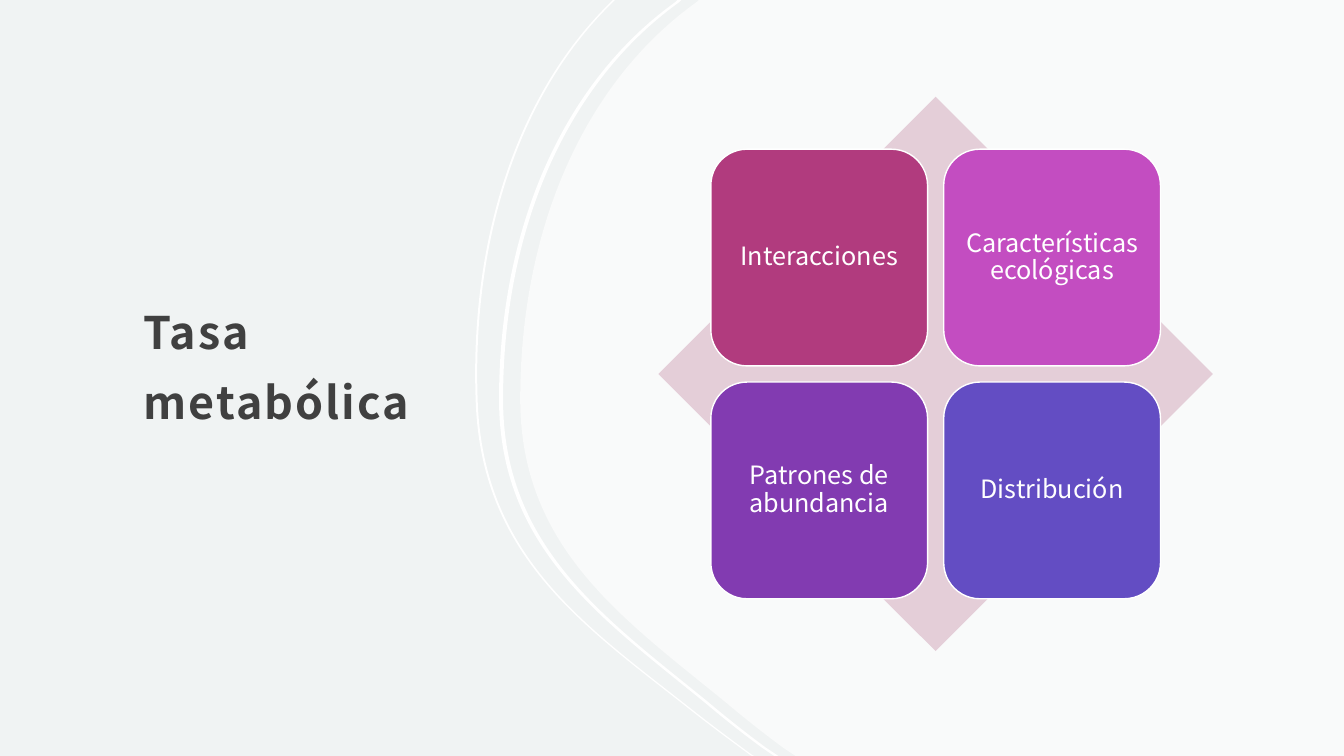
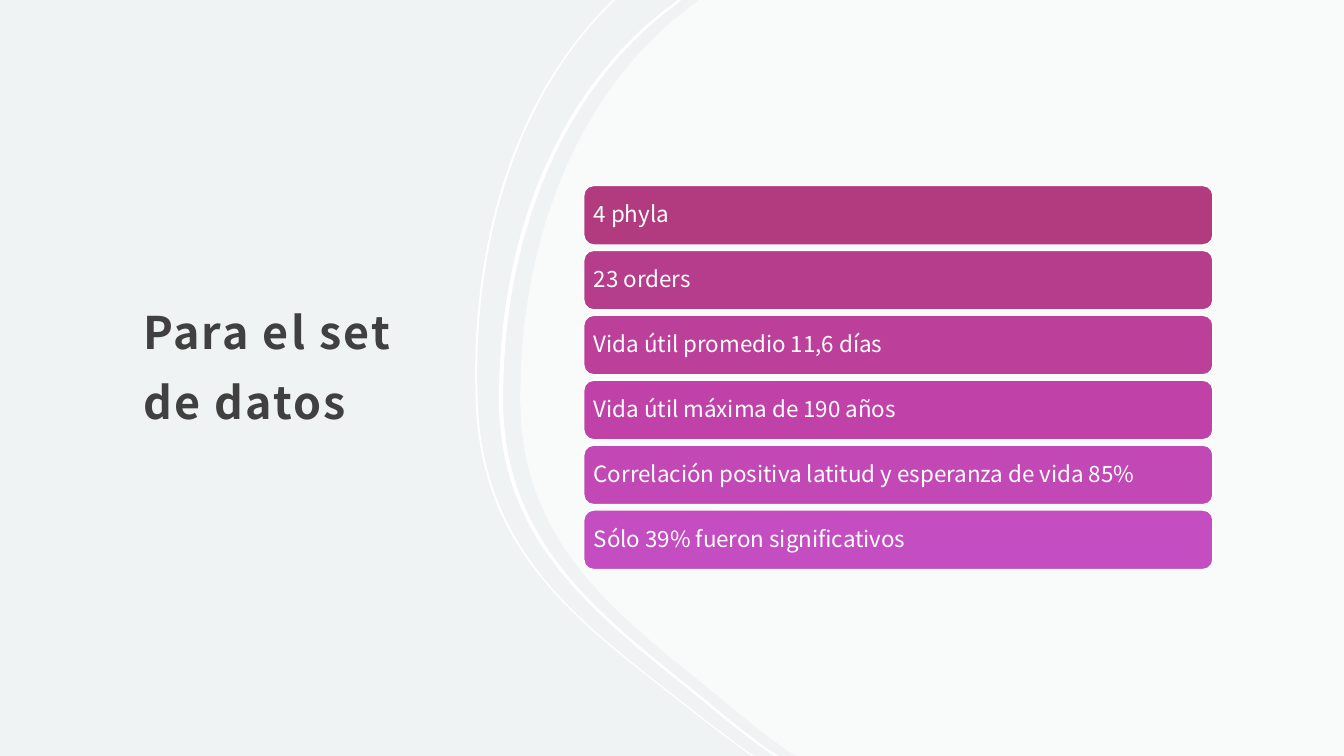
"""Builds two Spanish slides on metabolic rate and its data set."""
from lxml.etree import SubElement
from pptx import Presentation
from pptx.dml.color import RGBColor
from pptx.enum.shapes import MSO_SHAPE as Preset
from pptx.enum.text import MSO_ANCHOR as Anchor, MSO_AUTO_SIZE as AutoSize, PP_ALIGN as Align
from pptx.oxml.ns import qn
from pptx.util import Pt

PX = 9144
SLIDE_W, SLIDE_H = 1333, 750
FONT = "Noto Sans CJK JP"

WHITE = RGBColor(0xFF, 0xFF, 0xFF)
BACKDROP = RGBColor(0xF0, 0xF3, 0xF3)
TITLE_GREY = RGBColor(0x40, 0x40, 0x40)
PALE_PINK = RGBColor(0xE4, 0xCE, 0xD8)
RASPBERRY = RGBColor(0xB1, 0x3B, 0x7E)
BERRY = RGBColor(0xB6, 0x3D, 0x8C)
MAGENTA = RGBColor(0xBC, 0x3F, 0x9A)
FUCHSIA = RGBColor(0xC0, 0x42, 0xA9)
ORCHID = RGBColor(0xC1, 0x48, 0xB5)
PINK = RGBColor(0xC3, 0x4D, 0xC1)
PURPLE = RGBColor(0x82, 0x3B, 0xB1)
INDIGO = RGBColor(0x63, 0x4D, 0xC3)

RATE_TITLE = "Tasa metabólica"
RATE_FACTORS = [
    ("Interacciones", RASPBERRY),
    ("Características ecológicas", PINK),
    ("Patrones de abundancia", PURPLE),
    ("Distribución", INDIGO),
]
DATA_TITLE = "Para el set de datos"
DATA_FACTS = [
    ("4 phyla", RASPBERRY),
    ("23 orders", BERRY),
    ("Vida útil promedio 11,6 días", MAGENTA),
    ("Vida útil máxima de 190 años", FUCHSIA),
    ("Correlación positiva latitud y esperanza de vida 85%", ORCHID),
    ("Sólo 39% fueron significativos", PINK),
]

TITLE_BOX = (130, 121, 330, 468)
TITLE_INSETS = (12, 12, 12, 10)
DIAMOND_CENTRE = (928, 371)
DIAMOND_SIDE = 550
TILE_SIDE, TILE_PITCH = 215, 231
BAR_LEFT, BAR_TOP, BAR_W, BAR_H = 579, 184, 624, 59
LAST_BAR_TOP = 506

OUTER_EDGE = [
    [(608, 0)],
    [(605, 3)],
    [(512, 94), (465, 240), (472, 402)],
    [(479, 555), (582, 623), (687, 706)],
    [(706, 721), (725, 735), (744, 749)],
    [(746, 750)],
]
INNER_EDGE = [
    [(672, 0)],
    [(670, 2)],
    [(557, 83), (495, 229), (495, 396)],
    [(495, 543), (596, 613), (699, 697)],
    [(718, 713), (737, 728), (756, 742)],
    [(768, 750)],
]
OUTER_THICKNESS, INNER_THICKNESS = 2, 4
PANEL_SHIFT = 21
PANEL_ALPHA = 60


def emu(*lengths):
    return [round(length * PX) for length in lengths]


def shifted(edge, dx):
    return [[(x + dx, y) for x, y in segment] for segment in edge]


def backwards(edge):
    segments = [[edge[-1][-1]]]
    for previous, segment in zip(edge[-2::-1], edge[:0:-1]):
        segments.append(segment[-2::-1] + [previous[-1]])
    return segments


def paint(shape, color, outlined=False):
    shape.shadow.inherit = False
    shape.fill.solid()
    shape.fill.fore_color.rgb = color
    if outlined:
        shape.line.color.rgb = WHITE
        shape.line.width = Pt(1)
    else:
        shape.line.fill.background()


def add_outline(slide, segments, color):
    ends = [emu(*segment[-1]) for segment in segments]
    builder = slide.shapes.build_freeform(*ends[0], scale=1.0)
    builder.add_line_segments(ends[1:], close=True)
    outline = builder.convert_to_shape()
    straight_lines = list(outline._element.spPr.iter(qn("a:lnTo")))
    for line, segment in zip(straight_lines, segments[1:]):
        if len(segment) == 3:
            curve = line.makeelement(qn("a:cubicBezTo"))
            for point in segment:
                x, y = emu(*point)
                SubElement(curve, qn("a:pt"), x=str(x - outline.left), y=str(y - outline.top))
            line.getparent().replace(line, curve)
    paint(outline, color)
    return outline


def add_waves(slide):
    right_side = [[(SLIDE_W, SLIDE_H)], [(SLIDE_W, 0)]]
    panel = add_outline(slide, shifted(INNER_EDGE, PANEL_SHIFT) + right_side, WHITE)
    panel_color = panel._element.spPr.find(qn("a:solidFill"))[0]
    SubElement(panel_color, qn("a:alpha"), val=str(PANEL_ALPHA * 1000))
    for edge, thickness in ((OUTER_EDGE, OUTER_THICKNESS), (INNER_EDGE, INNER_THICKNESS)):
        add_outline(slide, edge + backwards(shifted(edge, thickness)), WHITE)


def write(shape, text, size, color, insets, align, spacing, bold=False):
    frame = shape.text_frame
    frame.word_wrap = True
    frame.auto_size = AutoSize.NONE
    frame.vertical_anchor = Anchor.MIDDLE
    (frame.margin_left, frame.margin_top,
     frame.margin_right, frame.margin_bottom) = emu(*insets)
    paragraph = frame.paragraphs[0]
    paragraph.alignment = align
    paragraph.line_spacing = spacing
    run = paragraph.add_run()
    run.text = text
    run.font.name = FONT
    run.font.size = Pt(size)
    run.font.bold = bold
    run.font.color.rgb = color
    return run


def add_card(slide, box, text, color, size, align):
    card = slide.shapes.add_shape(Preset.ROUNDED_RECTANGLE, *emu(*box))
    paint(card, color, outlined=True)
    write(card, text, size, WHITE, (7, 7, 7, 7), align, 0.9)


def add_titled_slide(deck, heading):
    slide = deck.slides.add_slide(deck.slide_layouts[5])
    title = slide.shapes.title
    title.left, title.top, title.width, title.height = emu(*TITLE_BOX)
    run = write(title, heading, 32, TITLE_GREY, TITLE_INSETS, Align.LEFT, 1.3, bold=True)
    run._r.get_or_add_rPr().set("spc", "150")
    add_waves(slide)
    return slide


def add_factor_matrix(slide):
    cx, cy = DIAMOND_CENTRE
    half = DIAMOND_SIDE // 2
    diamond = slide.shapes.add_shape(
        Preset.DIAMOND, *emu(cx - half, cy - half, DIAMOND_SIDE, DIAMOND_SIDE))
    paint(diamond, PALE_PINK)
    offset = (TILE_SIDE + TILE_PITCH) // 2
    for index, (factor, color) in enumerate(RATE_FACTORS):
        row, column = divmod(index, 2)
        box = (cx - offset + column * TILE_PITCH, cy - offset + row * TILE_PITCH,
               TILE_SIDE, TILE_SIDE)
        add_card(slide, box, factor, color, 18, Align.CENTER)


def add_fact_bars(slide):
    pitch = (LAST_BAR_TOP - BAR_TOP) / (len(DATA_FACTS) - 1)
    for index, (fact, color) in enumerate(DATA_FACTS):
        box = (BAR_LEFT, BAR_TOP + index * pitch, BAR_W, BAR_H)
        add_card(slide, box, fact, color, 16, Align.LEFT)


def main():
    deck = Presentation()
    deck.slide_width, deck.slide_height = emu(SLIDE_W, SLIDE_H)
    backdrop = deck.slide_master.background.fill
    backdrop.solid()
    backdrop.fore_color.rgb = BACKDROP
    add_factor_matrix(add_titled_slide(deck, RATE_TITLE))
    add_fact_bars(add_titled_slide(deck, DATA_TITLE))
    deck.save("out.pptx")


if __name__ == "__main__":
    main()
